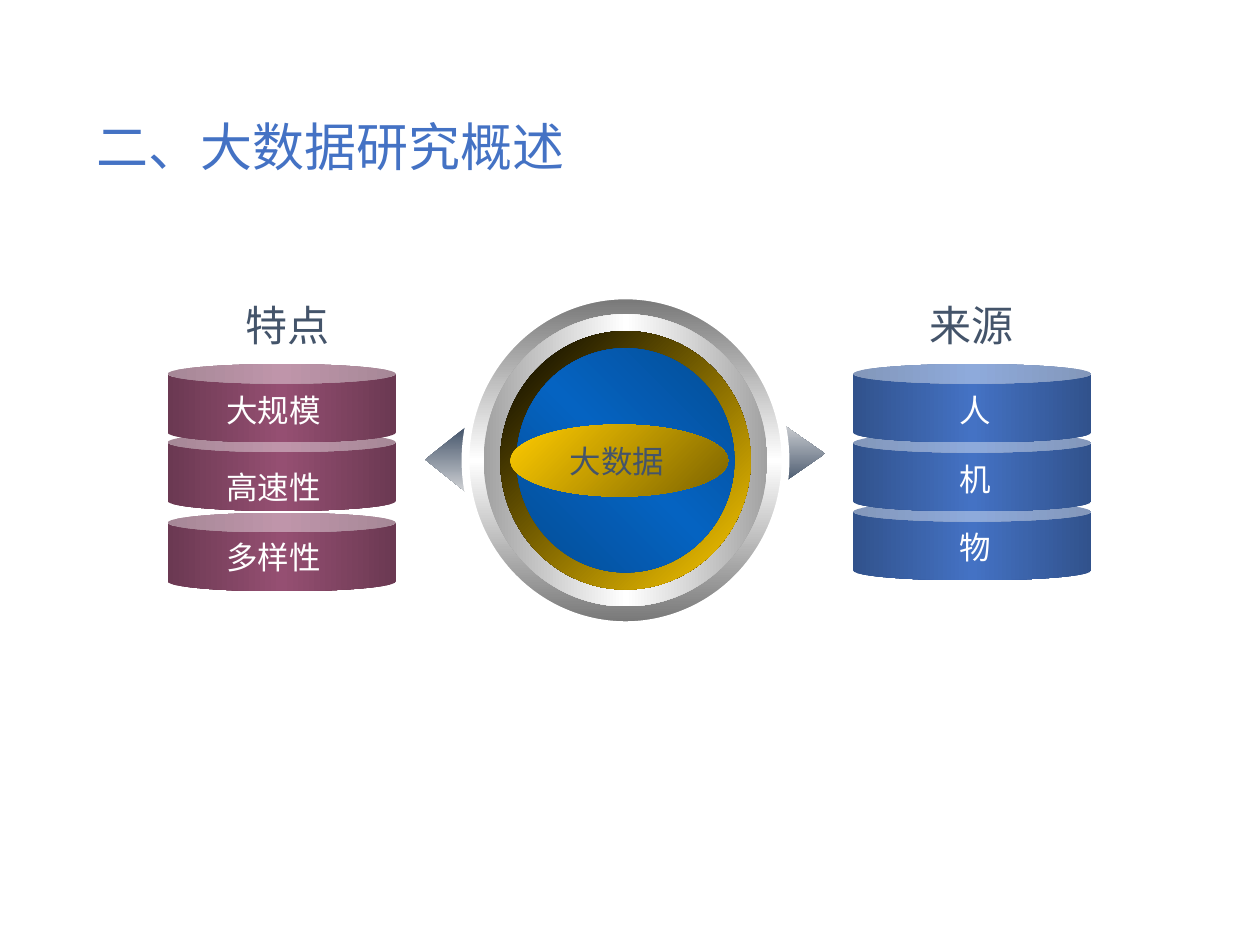
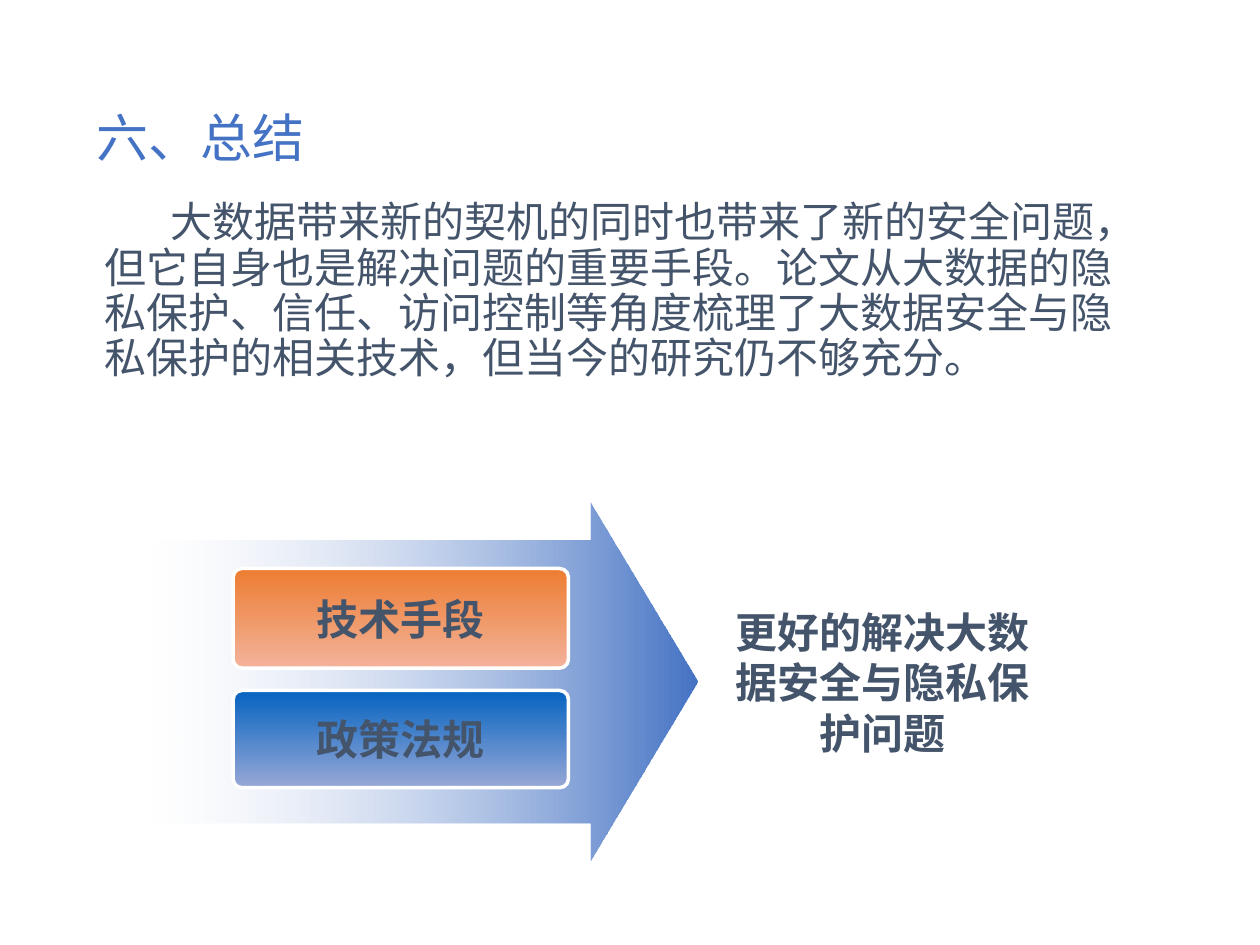
from dataclasses import dataclass
from typing import NamedTuple

from lxml.etree import SubElement
from pptx import Presentation
from pptx.dml.color import RGBColor
from pptx.enum.shapes import MSO_SHAPE
from pptx.enum.text import MSO_ANCHOR, PP_ALIGN
from pptx.oxml.ns import qn
from pptx.util import Cm, Pt

WHITE = RGBColor(0xFF, 0xFF, 0xFF)
BLACK = RGBColor(0x00, 0x00, 0x00)
SLATE = RGBColor(0x44, 0x54, 0x6A)
MIST = RGBColor(0xD0, 0xD2, 0xD5)
BLUE = RGBColor(0x44, 0x72, 0xC4)
DARK_BLUE = RGBColor(0x31, 0x52, 0x8C)
PLUM = RGBColor(0x95, 0x4F, 0x72)
DARK_PLUM = RGBColor(0x6B, 0x39, 0x52)
GREY = RGBColor(0x76, 0x76, 0x76)
SILVER = RGBColor(0xA2, 0xA2, 0xA2)
GOLD = RGBColor(0xFF, 0xCC, 0x00)
DARK_GOLD = RGBColor(0x7C, 0x63, 0x00)
AZURE = RGBColor(0x05, 0x63, 0xC1)
DARK_AZURE = RGBColor(0x04, 0x4C, 0x94)
PALE_AZURE = RGBColor(0x98, 0xA8, 0xD6)
ORANGE = RGBColor(0xED, 0x7D, 0x31)
PALE_ORANGE = RGBColor(0xF3, 0xB2, 0x9B)

CJK = "Noto Sans CJK SC"
LATIN = "Arial"


class Box(NamedTuple):
    left: float
    top: float
    width: float
    height: float


class Gradient(NamedTuple):
    colours: tuple[RGBColor, ...]
    angle: int = 0
    start_alpha: int = 100


class TextStyle(NamedTuple):
    size: float
    colour: RGBColor = SLATE
    font: str = CJK
    bold: bool = False
    align: PP_ALIGN = PP_ALIGN.LEFT
    anchor: MSO_ANCHOR = MSO_ANCHOR.TOP
    wrap: bool = True
    spacing: float = 1.0
    indent: float = 0


class Ring(NamedTuple):
    width: float
    height: float
    gradient: Gradient


class Pointer(NamedTuple):
    box: Box
    rotation: int


class Can(NamedTuple):
    text: str
    top: float
    label_top: float


class Card(NamedTuple):
    text: str
    top: float
    height: float
    gradient: Gradient


@dataclass
class Stack:
    heading: str
    heading_box: Box
    left: float
    width: float
    label_left: float
    label_width: float
    gradient: Gradient
    cans: list[Can]


TITLE = TextStyle(29.7, BLUE, anchor=MSO_ANCHOR.MIDDLE, spacing=0.9)
BODY = TextStyle(24, spacing=0.9, indent=1.34)
HEADING = TextStyle(24, font=LATIN)
CORE = TextStyle(18, font=LATIN, anchor=MSO_ANCHOR.MIDDLE)
CAN_LABEL = TextStyle(18, WHITE, LATIN, align=PP_ALIGN.CENTER, wrap=False)
CARD = TextStyle(24, bold=True, align=PP_ALIGN.CENTER, anchor=MSO_ANCHOR.MIDDLE)

CAN_HEIGHT = 1.58
LABEL_HEIGHT = 1.02
RING_CENTRE = (12.61, 9.28)
RINGS = [
    Ring(6.45, 6.65, Gradient((GREY, WHITE, GREY), 90)),
    Ring(5.72, 5.89, Gradient((SILVER, WHITE, SILVER))),
    Ring(5.05, 5.21, Gradient((BLACK, GOLD), 45)),
    Ring(4.39, 4.52, Gradient((DARK_AZURE, AZURE, DARK_AZURE), 315)),
]
POINTERS = [
    Pointer(Box(8.33, 8.86, 1.3, 0.81), 270),
    Pointer(Box(15.54, 8.69, 1.27, 0.91), 90),
]
STACKS = [
    Stack("特点", Box(4.7, 5.92, 2.39, 1.27), 3.38, 4.6, 4.29, 2.44,
          Gradient((DARK_PLUM, PLUM, DARK_PLUM)),
          [Can("大规模", 7.34, 7.75), Can("高速性", 8.72, 9.32), Can("多样性", 10.34, 10.72)]),
    Stack("来源", Box(18.49, 5.92, 2.46, 1.27), 17.2, 4.8, 19.1, 1.14,
          Gradient((DARK_BLUE, BLUE, DARK_BLUE)),
          [Can("人", 7.34, 7.75), Can("机", 8.73, 9.14), Can("物", 10.12, 10.52)]),
]
CARDS = [
    Card("技术手段", 11.46, 2.01, Gradient((ORANGE, PALE_ORANGE), 90)),
    Card("政策法规", 13.92, 1.96, Gradient((AZURE, PALE_AZURE), 90)),
]


def write(s, text: str, style: TextStyle) -> None:
    tf = s.text_frame
    tf.word_wrap = style.wrap
    tf.vertical_anchor = style.anchor
    p = tf.paragraphs[0]
    p.alignment = style.align
    p.line_spacing = style.spacing
    if style.indent:
        p._p.get_or_add_pPr().set("indent", str(Cm(style.indent)))
    r = p.add_run()
    r.text = text
    r.font.size = Pt(style.size)
    r.font.bold = style.bold
    r.font.color.rgb = style.colour
    r.font.name = style.font
    SubElement(r._r.get_or_add_rPr(), qn("a:ea")).set("typeface", CJK)


def add_text(sl, box: Box, text: str, style: TextStyle) -> None:
    write(sl.shapes.add_textbox(*map(Cm, box)), text, style)


def paint(s, gradient: Gradient) -> None:
    s.fill.gradient()
    fill = s._element.spPr.find(qn("a:gradFill"))
    stops = fill.find(qn("a:gsLst"))
    for stop in list(stops):
        stops.remove(stop)
    last = len(gradient.colours) - 1
    for i, colour in enumerate(gradient.colours):
        stop = SubElement(stops, qn("a:gs"), pos=str(100000 * i // last))
        clr = SubElement(stop, qn("a:srgbClr"), val=str(colour))
        if i == 0 and gradient.start_alpha < 100:
            SubElement(clr, qn("a:alpha"), val=str(gradient.start_alpha * 1000))
    fill.find(qn("a:lin")).set("ang", str(gradient.angle * 60000))


def add_figure(sl, kind: MSO_SHAPE, box: Box, gradient: Gradient | None = None,
               outline: float = 0, adjustments: tuple[float, ...] = ()):
    s = sl.shapes.add_shape(kind, *map(Cm, box))
    s.shadow.inherit = False
    for i, value in enumerate(adjustments):
        s.adjustments[i] = value
    if gradient:
        paint(s, gradient)
    else:
        s.fill.background()
    if outline:
        s.line.color.rgb = WHITE
        s.line.width = Pt(outline)
    else:
        s.line.fill.background()
    return s


def add_slide(prs, title: str, top: float, width: float):
    sl = prs.slides.add_slide(prs.slide_layouts[6])
    add_text(sl, Box(1.7, top, width, 1.35), title, TITLE)
    return sl


def add_stack(sl, stack: Stack) -> None:
    for can in reversed(stack.cans):
        add_figure(sl, MSO_SHAPE.CAN, Box(stack.left, can.top, stack.width, CAN_HEIGHT),
                   stack.gradient)
    for can in stack.cans:
        add_text(sl, Box(stack.label_left, can.label_top, stack.label_width, LABEL_HEIGHT),
                 can.text, CAN_LABEL)
    add_text(sl, stack.heading_box, stack.heading, HEADING)


def build_overview(prs) -> None:
    sl = add_slide(prs, "二、大数据研究概述", 2.34, 10.9)
    for pointer in POINTERS:
        s = add_figure(sl, MSO_SHAPE.UP_ARROW, pointer.box, Gradient((SLATE, MIST)),
                       adjustments=(0.52, 1))
        s.rotation = pointer.rotation
        s._element.spPr.xfrm.set("flipH", "1")
    x, y = RING_CENTRE
    for i, ring in enumerate(RINGS):
        box = Box(x - ring.width / 2, y - ring.height / 2, ring.width, ring.height)
        add_figure(sl, MSO_SHAPE.OVAL, box, ring.gradient, 0 if i else 4.5)
    core = add_figure(sl, MSO_SHAPE.OVAL, Box(10.29, 8.56, 4.39, 1.45),
                      Gradient((GOLD, DARK_GOLD), 45))
    core.text_frame.margin_left = Cm(0.55)
    write(core, "大数据", CORE)
    for stack in STACKS:
        add_stack(sl, stack)


def build_summary(prs) -> None:
    sl = add_slide(prs, "六、总结", 2.16, 5.41)
    add_text(sl, Box(1.85, 3.94, 21.64, 5.23),
             "大数据带来新的契机的同时也带来了新的安全问题，但它自身也是解决问题的重要手段。"
             "论文从大数据的隐私保护、信任、访问控制等角度梳理了大数据安全与隐私保护的相关技术，"
             "但当今的研究仍不够充分。", BODY)
    add_figure(sl, MSO_SHAPE.RIGHT_ARROW, Box(3.1, 10.13, 10.97, 7.21),
               Gradient((WHITE, BLUE), start_alpha=24), adjustments=(0.79, 0.3))
    for card in CARDS:
        s = add_figure(sl, MSO_SHAPE.ROUNDED_RECTANGLE, Box(4.7, card.top, 6.76, card.height),
                       card.gradient, 2, (0.09,))
        write(s, card.text, CARD._replace(wrap=False))
    result = add_figure(sl, MSO_SHAPE.ROUNDED_RECTANGLE, Box(14.3, 11.94, 6.98, 3.61),
                        adjustments=(0.09,))
    write(result, "更好的解决大数据安全与隐私保护问题", CARD)


def main() -> None:
    prs = Presentation()
    prs.slide_width, prs.slide_height = Cm(25.4), Cm(19.05)
    build_overview(prs)
    build_summary(prs)
    prs.save("out.pptx")


if __name__ == "__main__":
    main()
